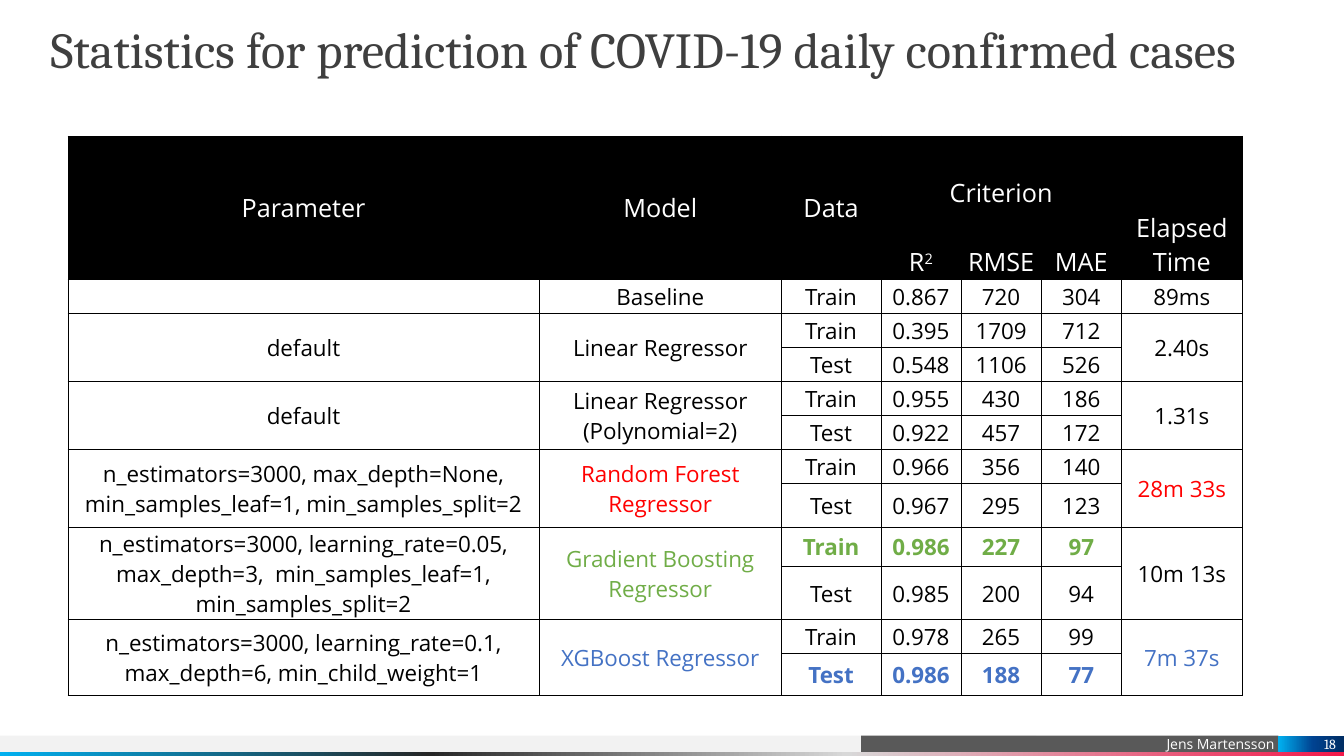
from dataclasses import dataclass

import pptx
import pptx.dml.color
import pptx.enum.shapes
import pptx.enum.text
import pptx.oxml.ns
import pptx.util
from lxml import etree

Cm = pptx.util.Cm
Anchor = pptx.enum.text.MSO_ANCHOR
Align = pptx.enum.text.PP_ALIGN
qn = pptx.oxml.ns.qn


@dataclass(frozen=True)
class Theme:
    heading_font: str = "Cambria"
    body_font: str = "Open Sans"
    title_size: int = 36
    header_size: int = 18
    cell_size: int = 16
    footer_size: int = 10
    title: str = "3F3F3F"
    black: str = "000000"
    white: str = "FFFFFF"
    red: str = "FF0000"
    green: str = "70AD47"
    blue: str = "4472C4"
    band: str = "F2F2F2"
    author_band: str = "595959"
    stripe: tuple = ((0, "F2194A"), (37, "D8D8D8"), (68, "262626"), (100, "00B0F0"))
    number_band: tuple = ((0, "002D63"), (47, "004290"), (100, "00B0F0"))


@dataclass(frozen=True)
class Box:
    """A rectangle in centimetres."""
    left: float
    top: float
    width: float
    height: float

    def lengths(self):
        return Cm(self.left), Cm(self.top), Cm(self.width), Cm(self.height)


@dataclass(frozen=True)
class ModelResult:
    parameter: str
    model: str
    scores: tuple
    elapsed: str
    model_color: str = Theme.black
    elapsed_color: str = Theme.black
    best: str = ""


THEME = Theme()
COLUMN_WIDTHS = (11.88, 6.1, 2.51, 2.02, 2.02, 2.02, 3.05)
ROW_HEIGHTS = (1.87, 1.73) + (0.86,) * 6 + (1.09, 0.99, 1.34, 0.86, 1.04)
RESULTS = (
    ModelResult("", "Baseline", (("Train", "0.867", "720", "304"),), "89ms"),
    ModelResult("default", "Linear Regressor",
                (("Train", "0.395", "1709", "712"), ("Test", "0.548", "1106", "526")), "2.40s"),
    ModelResult("default", "Linear Regressor (Polynomial=2)",
                (("Train", "0.955", "430", "186"), ("Test", "0.922", "457", "172")), "1.31s"),
    ModelResult("n_estimators=3000, max_depth=None, min_samples_leaf=1, min_samples_split=2",
                "Random Forest Regressor",
                (("Train", "0.966", "356", "140"), ("Test", "0.967", "295", "123")), "28m 33s",
                THEME.red, THEME.red),
    ModelResult("n_estimators=3000, learning_rate=0.05, max_depth=3,  min_samples_leaf=1, "
                "min_samples_split=2", "Gradient Boosting Regressor",
                (("Train", "0.986", "227", "97"), ("Test", "0.985", "200", "94")), "10m 13s",
                THEME.green, best="Train"),
    ModelResult("n_estimators=3000, learning_rate=0.1, max_depth=6, min_child_weight=1",
                "XGBoost Regressor",
                (("Train", "0.978", "265", "99"), ("Test", "0.986", "188", "77")), "7m 37s",
                THEME.blue, THEME.blue, "Test"),
)


def rgb(color):
    return pptx.dml.color.RGBColor.from_string(color)


def add_run(paragraph, text, font, size, color, bold=False):
    run = paragraph.add_run()
    run.text = text
    run.font.name = font
    run.font.size = pptx.util.Pt(size)
    run.font.bold = bold
    run.font.color.rgb = rgb(color)
    return run


def set_insets(holder, left, top, right, bottom):
    holder.margin_left, holder.margin_top = Cm(left), Cm(top)
    holder.margin_right, holder.margin_bottom = Cm(right), Cm(bottom)


def add_band(slide, box, fill):
    """Add a borderless bar filled with one colour or with gradient stops."""
    shape = slide.shapes.add_shape(pptx.enum.shapes.MSO_SHAPE.RECTANGLE, *box.lengths())
    shape.shadow.inherit = False
    shape.line.fill.background()
    if isinstance(fill, str):
        shape.fill.solid()
        shape.fill.fore_color.rgb = rgb(fill)
        return shape
    shape.fill.gradient()
    shape.fill.gradient_angle = 180
    stops = shape._element.spPr.find(qn("a:gradFill")).find(qn("a:gsLst"))
    for stop in list(stops):
        stops.remove(stop)
    for position, color in fill:
        stop = etree.SubElement(stops, qn("a:gs"), pos=str(position * 1000))
        etree.SubElement(stop, qn("a:srgbClr"), val=color)
    return shape


def write_band(band, text, font, right_inset, anchor):
    frame = band.text_frame
    set_insets(frame, 0, 0, right_inset, 0)
    frame.vertical_anchor = anchor
    frame.paragraphs[0].alignment = Align.RIGHT
    add_run(frame.paragraphs[0], text, font, THEME.footer_size, THEME.white)


def add_footer(slide, box):
    band_height, number_width, author_width = 0.41, 1.65, 10.52
    number_left = box.left + box.width - number_width
    add_band(slide, Box(box.left, box.top, 26.12, band_height), THEME.band)
    author = add_band(slide, Box(number_left - author_width, box.top, author_width, band_height),
                      THEME.author_band)
    write_band(author, "Jens Martensson", THEME.body_font, 0.1, Anchor.BOTTOM)
    add_band(slide, Box(box.left, box.top + band_height, box.width, box.height - band_height),
             THEME.stripe)
    number = add_band(slide, Box(number_left, box.top, number_width, band_height),
                      THEME.number_band)
    write_band(number, "18", THEME.heading_font, 0.2, Anchor.MIDDLE)


def add_title(slide, box):
    frame = slide.shapes.add_textbox(*box.lengths()).text_frame
    frame.word_wrap = True
    set_insets(frame, 0, 0, 0, 0)
    paragraph = frame.paragraphs[0]
    paragraph.line_spacing = 0.9
    add_run(paragraph, " Statistics for prediction of COVID-19 daily confirmed cases",
            THEME.heading_font, THEME.title_size, THEME.title)


def prepare_cell(cell, header):
    """Give a cell its insets, thin borders, fill and empty-line size."""
    set_insets(cell, 0.03, 0.03, 0.03, 0)
    cell.vertical_anchor = Anchor.MIDDLE
    properties = cell._tc.get_or_add_tcPr()
    for side in ("lnL", "lnR", "lnT", "lnB"):
        line = etree.SubElement(properties, qn("a:" + side), w=str(pptx.util.Pt(0.5)))
        fill = etree.SubElement(line, qn("a:solidFill"))
        etree.SubElement(fill, qn("a:srgbClr"), val=THEME.black)
    if header:
        cell.fill.solid()
        cell.fill.fore_color.rgb = rgb(THEME.black)
    else:
        cell.fill.background()
    paragraph = cell.text_frame.paragraphs[0]
    paragraph.alignment = Align.CENTER
    etree.SubElement(paragraph._p, qn("a:endParaRPr"), sz=str(THEME.cell_size * 100))


def write_cell(cell, text, size=THEME.cell_size, color=THEME.black, bold=False):
    if text:
        return add_run(cell.text_frame.paragraphs[0], text, THEME.body_font, size, color, bold)


def fill_header(table):
    for column, text in ((0, "Parameter"), (1, "Model"), (2, "Data"), (6, "Elapsed Time")):
        table.cell(0, column).merge(table.cell(1, column))
        write_cell(table.cell(0, column), text, THEME.header_size, THEME.white)
    table.cell(0, 3).merge(table.cell(0, 5))
    criteria = ((0, 3, "Criterion"), (1, 3, "R"), (1, 4, "RMSE"), (1, 5, "MAE"))
    for row, column, text in criteria:
        write_cell(table.cell(row, column), text, THEME.header_size, THEME.white)
        table.cell(row, column).vertical_anchor = Anchor.BOTTOM
    table.cell(0, 6).vertical_anchor = Anchor.BOTTOM
    exponent = write_cell(table.cell(1, 3), "2", THEME.header_size, THEME.white)
    exponent._r.get_or_add_rPr().set("baseline", "30000")


def fill_result(table, first_row, result):
    last_row = first_row + len(result.scores) - 1
    spanning = ((0, result.parameter, THEME.black), (1, result.model, result.model_color),
                (6, result.elapsed, result.elapsed_color))
    for column, text, color in spanning:
        if last_row > first_row:
            table.cell(first_row, column).merge(table.cell(last_row, column))
        write_cell(table.cell(first_row, column), text, color=color)
    for row, scores in enumerate(result.scores, first_row):
        best = scores[0] == result.best
        for column, text in enumerate(scores, 2):
            write_cell(table.cell(row, column), text,
                       color=result.model_color if best else THEME.black, bold=best)


def add_statistics_table(slide, box):
    table = slide.shapes.add_table(len(ROW_HEIGHTS), len(COLUMN_WIDTHS), *box.lengths()).table
    table.first_row = table.horz_banding = False
    for column, width in zip(table.columns, COLUMN_WIDTHS):
        column.width = Cm(width)
    for index, (row, height) in enumerate(zip(table.rows, ROW_HEIGHTS)):
        row.height = Cm(height)
        for cell in row.cells:
            prepare_cell(cell, header=index < 2)
    fill_header(table)
    first_row = 2
    for result in RESULTS:
        fill_result(table, first_row, result)
        first_row += len(result.scores)


def main():
    presentation = pptx.Presentation()
    presentation.slide_width, presentation.slide_height = Cm(33.87), Cm(19.05)
    slide = presentation.slides.add_slide(presentation.slide_layouts[6])
    add_footer(slide, Box(0, 18.54, 33.87, 0.51))
    add_title(slide, Box(1, 0.64, 31.88, 2.03))
    add_statistics_table(slide, Box(1.71, 3.43, sum(COLUMN_WIDTHS), sum(ROW_HEIGHTS)))
    presentation.save("out.pptx")


if __name__ == "__main__":
    main()
